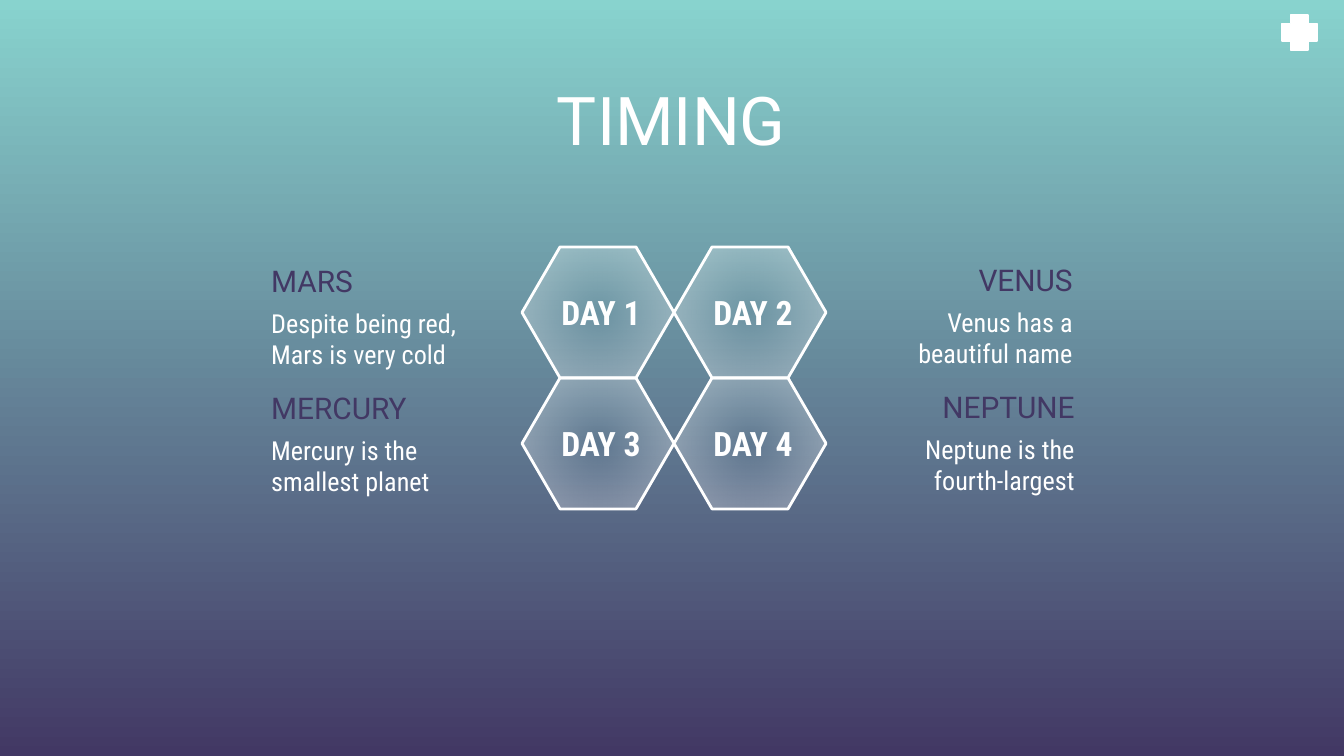
"""Build the TIMING slide: four day hexagons flanked by planet notes."""
import pptx
import pptx.dml.color
import pptx.enum.shapes
import pptx.enum.text
import pptx.oxml
import pptx.oxml.ns
import pptx.util

EMU_PER_PX = 914400 / 134.4
WHITE = pptx.dml.color.RGBColor(0xFF, 0xFF, 0xFF)
TEAL = pptx.dml.color.RGBColor(0x88, 0xD3, 0xCE)
PURPLE = pptx.dml.color.RGBColor(0x42, 0x38, 0x64)
ALIGN = pptx.enum.text.PP_ALIGN
ANCHOR = pptx.enum.text.MSO_ANCHOR
SHAPE = pptx.enum.shapes.MSO_SHAPE
HEX_LEFT, HEX_TOP, HEX_WIDTH, HEX_HEIGHT = 522, 247, 152, 131
NOTES = [
    ("MARS", "Despite being red, Mars is very cold", 258, 249, ALIGN.LEFT),
    ("VENUS", "Venus has a beautiful name", 870, 248, ALIGN.RIGHT),
    ("MERCURY", "Mercury is the smallest planet", 258, 376, ALIGN.LEFT),
    ("NEPTUNE", "Neptune is the fourth-largest", 872, 375, ALIGN.RIGHT),
]


def px(count):
    return pptx.util.Emu(round(count * EMU_PER_PX))


def write(box, text, size, font, color, align, anchor=ANCHOR.TOP, bold=False):
    frame = box.text_frame
    frame.text = text
    frame.word_wrap = True
    frame.auto_size = pptx.enum.text.MSO_AUTO_SIZE.NONE
    frame.vertical_anchor = anchor
    frame.margin_left = frame.margin_right = pptx.util.Inches(0.1)
    frame.margin_top = frame.margin_bottom = pptx.util.Inches(0.1)
    para = frame.paragraphs[0]
    para.alignment = align
    span = para.runs[0]
    span.font.size = pptx.util.Pt(size)
    span.font.name = font
    span.font.color.rgb = color
    span.font.bold = bold


def add_text(page, left, top, width, height, *style):
    box = page.shapes.add_textbox(px(left), px(top), px(width), px(height))
    write(box, *style)


def add_outlined(page, kind, left, top, width, height, line_width):
    shape = page.shapes.add_shape(kind, px(left), px(top), px(width), px(height))
    shape.shadow.inherit = False
    shape.line.color.rgb = WHITE
    shape.line.width = pptx.util.Pt(line_width)
    return shape


def set_gradient(fill, first, last):
    fill.gradient()
    fill.gradient_angle = 270
    for stop, color, position in zip(fill.gradient_stops, (first, last), (0, 1)):
        stop.color.rgb = color
        stop.position = position


def make_radial_glow(shape):
    set_gradient(shape.fill, WHITE, WHITE)
    gradient = shape.element.spPr.find(pptx.oxml.ns.qn("a:gradFill"))
    for color, alpha in zip(gradient.iter(pptx.oxml.ns.qn("a:srgbClr")), (0, 39000)):
        color.append(pptx.oxml.parse_xml(
            f'<a:alpha {pptx.oxml.ns.nsdecls("a")} val="{alpha}"/>'))
    circle = pptx.oxml.parse_xml(
        f'<a:path {pptx.oxml.ns.nsdecls("a")} path="circle">'
        '<a:fillToRect l="50000" t="50000" r="50000" b="50000"/></a:path>')
    gradient.replace(gradient.find(pptx.oxml.ns.qn("a:lin")), circle)


def add_title(page, text):
    title = page.shapes.title
    title.left, title.top, title.width, title.height = px(79), px(74), px(1185), px(98)
    write(title, text, 36, "Roboto", WHITE, ALIGN.CENTER, ANCHOR.BOTTOM)
    subtitle = page.placeholders[1].element
    subtitle.getparent().remove(subtitle)


def add_note(page, heading, body, left, top, align):
    add_text(page, left, top, 216, 44, heading, 16, "Roboto", PURPLE, align)
    add_text(page, left, top + 45, 216, 83, body, 14, "Roboto Condensed", WHITE, align)


def add_day(page, index):
    row, column = divmod(index, 2)
    left = HEX_LEFT + column * HEX_WIDTH
    top = HEX_TOP + row * HEX_HEIGHT
    hexagon = add_outlined(page, SHAPE.HEXAGON, left, top, HEX_WIDTH, HEX_HEIGHT, 1.5)
    hexagon.adjustments[0] = 0.29
    make_radial_glow(hexagon)
    add_text(page, left + 7, top + 43, 144, 44, f"DAY {index + 1}", 18,
             "Roboto Condensed", WHITE, ALIGN.CENTER, ANCHOR.MIDDLE, True)


def main():
    deck = pptx.Presentation()
    deck.slide_width, deck.slide_height = px(1344), px(756)
    page = deck.slides.add_slide(deck.slide_layouts[0])
    set_gradient(page.background.fill, TEAL, PURPLE)
    add_title(page, "TIMING")
    for note in NOTES:
        add_note(page, *note)
    plus = add_outlined(page, SHAPE.CROSS, 1282, 15, 35, 35, 0.75)
    plus.adjustments[0] = 0.25
    plus.fill.solid()
    plus.fill.fore_color.rgb = WHITE
    for index in range(4):
        add_day(page, index)
    deck.save("out.pptx")


if __name__ == "__main__":
    main()
